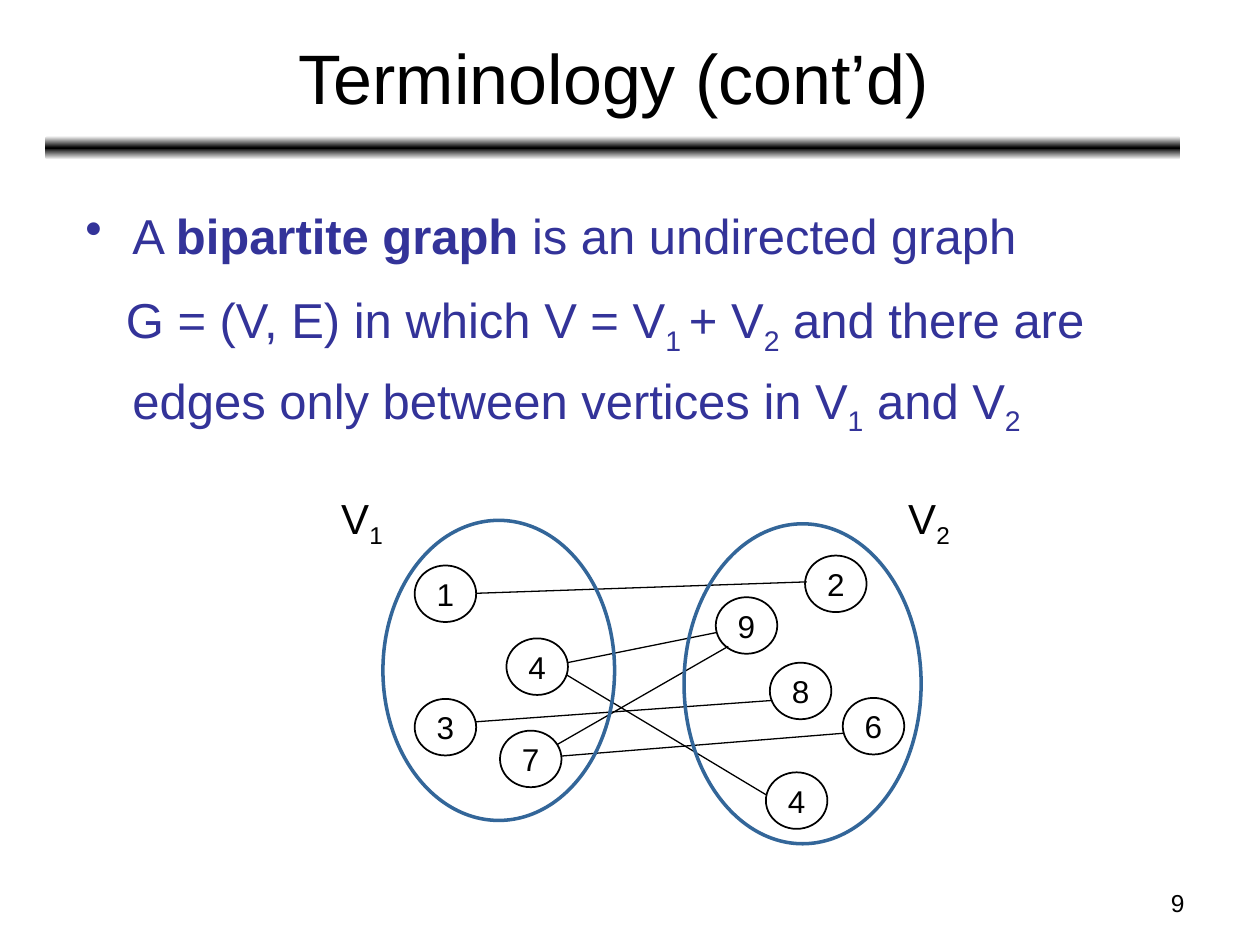
from copy import deepcopy

from pptx import Presentation
from pptx.dml.color import RGBColor
from pptx.enum.shapes import MSO_CONNECTOR, MSO_SHAPE
from pptx.enum.text import MSO_ANCHOR, PP_ALIGN
from pptx.oxml.ns import qn
from pptx.oxml.xmlchemy import OxmlElement
from pptx.util import Cm, Pt

BLACK = RGBColor(0x00, 0x00, 0x00)
WHITE = RGBColor(0xFF, 0xFF, 0xFF)
INDIGO = RGBColor(0x33, 0x33, 0x99)
STEEL = RGBColor(0x33, 0x66, 0x99)

NODES = [
    ("1", 1.73, 1.6), ("2", 9.6, 1.4), ("3", 1.73, 4.29),
    ("4", 8.81, 5.77), ("4", 3.58, 3.07), ("9", 7.8, 2.24),
    ("7", 3.45, 4.93), ("6", 10.36, 4.27), ("8", 8.89, 3.56),
]
EDGES = [
    (2.97, 2.16, 9.63, 1.93), (4.8, 3.81, 8.81, 6.22),
    (2.97, 4.75, 8.94, 4.32), (4.8, 3.56, 7.82, 2.95),
    (4.7, 5.44, 10.39, 4.98), (8.05, 3.23, 4.6, 5.21),
]
SETS = [(1.09, 0.69, 4.67, 6.05), (7.16, 0.76, 4.78, 6.45)]
LABELS = [("1", 0), ("2", 11.43)]


def add_text(p, text, size=18, color=BLACK, bold=False, sub=False):
    r = p.add_run()
    r.text = text
    r.font.name = "Arial"
    r.font.size = Pt(size)
    r.font.color.rgb = color
    r.font.bold = bold
    if sub:
        r.font._element.set("baseline", "-25000")


def add_box(s, x, y, w, h, wrap=True):
    tf = s.shapes.add_textbox(Cm(x), Cm(y), Cm(w), Cm(h)).text_frame
    tf.word_wrap = wrap
    return tf


def add_ellipse(s, x, y, w, h, color, width):
    sp = s.shapes.add_shape(MSO_SHAPE.OVAL, Cm(x), Cm(y), Cm(w), Cm(h))
    sp.shadow.inherit = False
    sp.fill.background()
    sp.line.color.rgb = color
    sp.line.width = Pt(width)
    return sp


def add_title(s, x, y, w, h):
    sp = s.shapes.title
    sp.left, sp.top, sp.width, sp.height = Cm(x), Cm(y), Cm(w), Cm(h)
    tf = sp.text_frame
    tf.vertical_anchor = MSO_ANCHOR.MIDDLE
    p = tf.paragraphs[0]
    p.alignment = PP_ALIGN.CENTER
    add_text(p, "Terminology (cont’d)", size=40)


def add_rule(s, x, y, w, h):
    sp = s.shapes.add_shape(MSO_SHAPE.ROUNDED_RECTANGLE, Cm(x), Cm(y), Cm(w), Cm(h))
    sp.shadow.inherit = False
    sp.line.fill.background()
    sp.fill.gradient()
    sp.fill.gradient_angle = 90
    stops = sp._element.spPr.find(qn("a:gradFill")).find(qn("a:gsLst"))
    stops.append(deepcopy(stops[0]))
    for stop, color, pos in zip(sp.fill.gradient_stops, (WHITE, BLACK, WHITE), (0, 0.5, 1)):
        stop.color.rgb = color
        stop.position = pos


def set_indent(p, left, first, bullet=None):
    pPr = p._p.get_or_add_pPr()
    pPr.set("marL", str(Cm(left)))
    pPr.set("indent", str(Cm(first)))
    if bullet:
        bu = OxmlElement("a:buChar")
        bu.set("char", bullet)
        pPr.append(bu)


def add_definition(s, x, y, w, h):
    tf = add_box(s, x, y, w, h)
    p = tf.paragraphs[0]
    set_indent(p, 0.95, -0.95, "•")
    p.line_spacing = 1.2
    for text, bold in [("A ", False), ("bipartite graph", True), (" is an undirected graph", False)]:
        add_text(p, text, size=28, color=INDIGO, bold=bold)

    p = tf.add_paragraph()
    set_indent(p, 0.95, -0.13)
    p.line_spacing = 1.2
    p.space_before = Pt(7)
    parts = ["G = (V, E) in which V = V", "1 ", "+ V", "2",
             " and there are edges only between vertices in V", "1", " and V", "2"]
    for i, text in enumerate(parts):
        add_text(p, text, size=28, color=INDIGO, sub=i % 2 == 1)


def add_graph(s, x, y):
    for name, dx, dy in NODES:
        sp = add_ellipse(s, x + dx, y + dy, 1.24, 1.14, BLACK, 1)
        tf = sp.text_frame
        tf.word_wrap = False
        tf.vertical_anchor = MSO_ANCHOR.MIDDLE
        p = tf.paragraphs[0]
        p.alignment = PP_ALIGN.CENTER
        add_text(p, name)
    for x1, y1, x2, y2 in EDGES:
        edge = s.shapes.add_connector(
            MSO_CONNECTOR.STRAIGHT, Cm(x + x1), Cm(y + y1), Cm(x + x2), Cm(y + y2))
        edge.line.color.rgb = BLACK
        edge.line.width = Pt(0.75)
        edge._element.spPr.append(OxmlElement("a:effectLst"))
    for dx, dy, w, h in SETS:
        add_ellipse(s, x + dx, y + dy, w, h, STEEL, 2)
    for index, dx in LABELS:
        p = add_box(s, x + dx, y, 1.35, 1.42, wrap=False).paragraphs[0]
        add_text(p, "V", size=24)
        add_text(p, index, size=24, sub=True)


def add_page_number(s, x, y, w, h):
    p = add_box(s, x, y, w, h).paragraphs[0]
    p.alignment = PP_ALIGN.RIGHT
    add_text(p, "9", size=14)


def main():
    prs = Presentation()
    prs.slide_width, prs.slide_height = Cm(25.4), Cm(19.05)
    s = prs.slides.add_slide(prs.slide_layouts[5])
    add_rule(s, 0.91, 2.74, 22.89, 0.48)
    add_page_number(s, 18.21, 17.78, 5.92, 0.89)
    add_title(s, 0.94, 0.28, 22.86, 2.51)
    add_definition(s, 1.47, 3.78, 22.28, 5.28)
    add_graph(s, 6.63, 9.8)
    prs.save("out.pptx")


if __name__ == "__main__":
    main()
